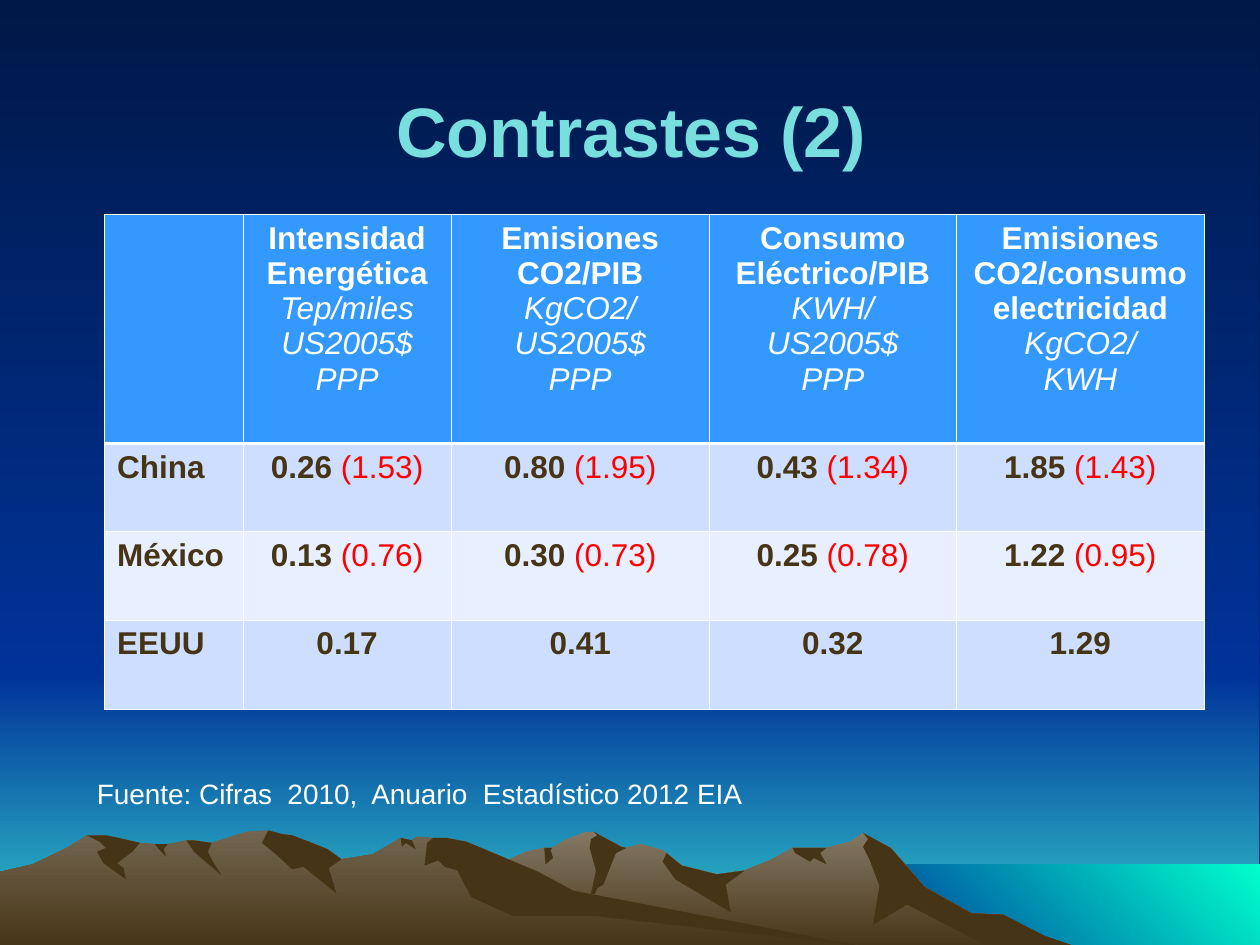
from dataclasses import dataclass

from lxml import etree
from pptx import Presentation
from pptx import util as u
from pptx.dml.color import RGBColor
from pptx.enum import shapes, text
from pptx.oxml.ns import qn

Inches = u.Inches

NIGHT = RGBColor(0x00, 0x18, 0x47)
BLUE = RGBColor(0x00, 0x33, 0x99)
HORIZON = RGBColor(0x33, 0xCC, 0xCC)
SEA = RGBColor(0x00, 0xFF, 0xCC)
BROWN = RGBColor(0x46, 0x34, 0x16)
FAR_ROCK = RGBColor(0x84, 0x78, 0x64)
NEAR_ROCK = RGBColor(0x73, 0x65, 0x4F)
AQUA = RGBColor(0x78, 0xDE, 0xDE)
WHITE = RGBColor(0xFF, 0xFF, 0xFF)
RED = RGBColor(0xFF, 0x00, 0x00)
HEADER = RGBColor(0x33, 0x99, 0xFF)
BAND_DARK = RGBColor(0xCD, 0xDE, 0xFF)
BAND_LIGHT = RGBColor(0xE8, 0xEF, 0xFF)

DOWN, UP_RIGHT = 270, 45
THIN, THICK = 0.45, 1.47
GROUND = 7.53
LEFT, CENTER = text.PP_ALIGN.LEFT, text.PP_ALIGN.CENTER


@dataclass
class Shadow:
    start: float
    end: float
    lower_edge: list


@dataclass
class MountainRange:
    rock: RGBColor
    ridge: list
    shadows: list

    def silhouette(self):
        return [(self.ridge[0][0], GROUND), *self.ridge, (self.ridge[-1][0], GROUND)]

    def shadow_outline(self, shadow):
        upper_edge = [point for point in self.ridge if shadow.start <= point[0] <= shadow.end]
        return upper_edge + shadow.lower_edge


FAR_RANGE = MountainRange(
    rock=FAR_ROCK,
    ridge=[(2.58, 7.53), (2.77, 7.4), (3.27, 7.11), (3.55, 6.99), (3.94, 6.87), (4.18, 6.76),
           (4.32, 6.73), (4.38, 6.73), (4.5, 6.66), (4.65, 6.6), (4.71, 6.6), (4.93, 6.72),
           (4.97, 6.73), (5.09, 6.7), (5.26, 6.75), (5.29, 6.77), (5.41, 6.87), (5.69, 6.94),
           (5.91, 6.91), (6.13, 6.82), (6.29, 6.73), (6.56, 6.73), (6.75, 6.68), (6.85, 6.61),
           (7.07, 6.73), (7.34, 7.04), (7.71, 7.25), (7.96, 7.26), (8.29, 7.43), (8.58, 7.53)],
    shadows=[
        Shadow(4.32, 4.38, [(4.37, 6.75), (4.39, 6.81), (4.33, 6.86)]),
        Shadow(4.71, 4.97, [(4.89, 6.77), (4.86, 6.84), (4.79, 7.02), (4.74, 7.05), (4.65, 7.28),
                            (4.73, 6.91), (4.68, 6.73), (4.69, 6.66), (4.74, 6.63)]),
        Shadow(5.29, 5.91, [(5.76, 7.02), (5.8, 7.24), (5.36, 6.98), (5.26, 6.84)]),
        Shadow(6.29, 6.56, [(6.51, 6.77), (6.56, 6.86), (6.46, 6.81), (6.43, 6.84), (6.31, 6.77)]),
        Shadow(6.85, 8.58, [(7.88, 7.53), (7.2, 7.18), (6.93, 7.34), (6.98, 7.03), (6.9, 6.82),
                            (6.85, 6.72), (6.89, 6.66)])])

NEAR_RANGE = MountainRange(
    rock=NEAR_ROCK,
    ridge=[(0, 6.92), (0.26, 6.86), (0.53, 6.73), (0.69, 6.63), (0.84, 6.63), (0.94, 6.65),
           (1.11, 6.69), (1.23, 6.7), (1.33, 6.7), (1.48, 6.67), (1.54, 6.67), (1.68, 6.69),
           (1.96, 6.6), (2.13, 6.59), (2.24, 6.62), (2.32, 6.63), (2.45, 6.68), (2.6, 6.74),
           (2.71, 6.82), (2.96, 6.78), (3.18, 6.65), (3.27, 6.67), (3.31, 6.64), (3.44, 6.65),
           (3.54, 6.65), (3.7, 6.68), (4.01, 6.81), (4.27, 6.92), (4.55, 7.07), (6.9, 7.52)],
    shadows=[
        Shadow(0.69, 1.11, [(1.05, 6.76), (0.93, 6.85), (0.98, 6.89), (1, 6.98), (0.82, 6.85),
                            (0.77, 6.76), (0.84, 6.73), (0.79, 6.68)]),
        Shadow(1.23, 1.33, [(1.3, 6.74), (1.32, 6.8), (1.26, 6.74)]),
        Shadow(1.48, 1.68, [(1.65, 6.76), (1.69, 6.84), (1.76, 6.95), (1.54, 6.76)]),
        Shadow(2.13, 2.71, [(2.61, 6.89), (2.67, 7.09), (2.41, 6.88), (2.32, 6.9), (2.19, 6.78),
                            (2.08, 6.69)]),
        Shadow(3.18, 3.27, [(3.3, 6.74), (3.22, 6.69), (3.19, 6.72)]),
        Shadow(3.44, 6.9, [(4.72, 7.27), (4.07, 7.27), (3.74, 7.12), (3.63, 6.91), (3.53, 6.88),
                           (3.48, 6.83), (3.37, 6.87), (3.39, 6.69)])])

COLUMN_WIDTHS = [1.1, 1.65, 2.05, 1.96, 1.97]
ROW_HEIGHTS = [1.82, 0.7, 0.7, 0.71]
PER_DOLLAR = ["US2005$", "PPP"]
INDICATORS = [
    (["Intensidad", "Energética"], ["Tep/miles", *PER_DOLLAR]),
    (["Emisiones CO2/PIB"], ["KgCO2/", *PER_DOLLAR]),
    (["Consumo", "Eléctrico/PIB"], ["KWH/", *PER_DOLLAR]),
    (["Emisiones CO2/consumo", "electricidad"], ["KgCO2/", "KWH"])]
REFERENCE = "EEUU"
COUNTRY_VALUES = {
    "China": [0.26, 0.80, 0.43, 1.85],
    "México": [0.13, 0.30, 0.25, 1.22],
    REFERENCE: [0.17, 0.41, 0.32, 1.29]}


def paint(fill, colors, angle=DOWN):
    if len(colors) == 1:
        fill.solid()
        fill.fore_color.rgb = colors[0]
        return
    fill.gradient()
    fill.gradient_angle = angle
    for stop, color in zip(fill.gradient_stops, colors):
        stop.color.rgb = color


def finish(shape, colors, angle=DOWN):
    paint(shape.fill, colors, angle)
    shape.line.fill.background()
    shape.shadow.inherit = False


def add_band(slide, left, top, width, height, colors, angle=DOWN):
    box = [Inches(value) for value in (left, top, width, height)]
    finish(slide.shapes.add_shape(shapes.MSO_SHAPE.RECTANGLE, *box), colors, angle)


def add_outline(slide, points, colors):
    first, *others = [(Inches(x), Inches(y)) for x, y in points]
    builder = slide.shapes.build_freeform(*first)
    builder.add_line_segments(others, close=True)
    finish(builder.convert_to_shape(), colors)


def add_mountains(slide, mountains):
    add_outline(slide, mountains.silhouette(), [mountains.rock, BROWN])
    for shadow in mountains.shadows:
        add_outline(slide, mountains.shadow_outline(shadow), [BROWN])


def add_landscape(slide):
    paint(slide.background.fill, [NIGHT, BLUE])
    add_band(slide, -0.01, 5.36, 10, 2.17, [BLUE, HORIZON])
    add_band(slide, -0.01, 0.02, 10, 5.34, [NIGHT, BLUE])
    add_band(slide, 6.83, 6.86, 3.17, 0.67, [BLUE, SEA], UP_RIGHT)
    for mountains in (FAR_RANGE, NEAR_RANGE):
        add_mountains(slide, mountains)


def write(paragraph, content, size=18, color=WHITE, bold=False, italic=False, align=CENTER):
    paragraph.alignment = align
    run = paragraph.add_run()
    run.text = content
    font = run.font
    font.name, font.size, font.bold, font.italic = "Arial", u.Pt(size), bold, italic
    font.color.rgb = color


def add_label(slide, left, top, width, height, content, anchor=text.MSO_ANCHOR.TOP, **style):
    box = slide.shapes.add_textbox(*[Inches(value) for value in (left, top, width, height)])
    frame = box.text_frame
    frame.word_wrap = True
    frame.vertical_anchor = anchor
    write(frame.paragraphs[0], content, **style)


def set_borders(cell, **widths):
    properties = cell._tc.get_or_add_tcPr()
    for index, side in enumerate("LRTB"):
        line = etree.Element(qn(f"a:ln{side}"), w=str(u.Pt(widths.get(side, THIN))))
        fill = etree.SubElement(line, qn("a:solidFill"))
        etree.SubElement(fill, qn("a:srgbClr"), val=str(WHITE))
        properties.insert(index, line)


def style_row(row, color, **borders):
    for cell in row.cells:
        paint(cell.fill, [color])
        set_borders(cell, **borders)


def fill_heading(cell, names, units):
    frame = cell.text_frame
    for index, content in enumerate(names + units):
        paragraph = frame.add_paragraph() if index else frame.paragraphs[0]
        is_name = index < len(names)
        write(paragraph, content, bold=is_name, italic=not is_name)


def fill_country(cells, country, values):
    name_cell, *value_cells = cells
    write(name_cell.text_frame.paragraphs[0], country, color=BROWN, bold=True, align=LEFT)
    for cell, value, reference in zip(value_cells, values, COUNTRY_VALUES[REFERENCE]):
        paragraph = cell.text_frame.paragraphs[0]
        if country == REFERENCE:
            write(paragraph, f"{value:.2f}", color=BROWN, bold=True)
        else:
            write(paragraph, f"{value:.2f} ", color=BROWN, bold=True)
            write(paragraph, f"({value / reference:.2f})", color=RED)


def add_indicator_table(slide):
    size = Inches(sum(COLUMN_WIDTHS)), Inches(sum(ROW_HEIGHTS))
    table = slide.shapes.add_table(len(ROW_HEIGHTS), len(COLUMN_WIDTHS),
                                   Inches(0.83), Inches(1.7), *size).table
    table.first_row = table.horz_banding = False
    for column, width in zip(table.columns, COLUMN_WIDTHS):
        column.width = Inches(width)
    for row, height in zip(table.rows, ROW_HEIGHTS):
        row.height = Inches(height)
    header, *country_rows = table.rows
    style_row(header, HEADER, B=THICK)
    for column, (names, units) in enumerate(INDICATORS, 1):
        fill_heading(header.cells[column], names, units)
    for index, (row, (country, values)) in enumerate(zip(country_rows, COUNTRY_VALUES.items())):
        style_row(row, BAND_LIGHT if index % 2 else BAND_DARK, T=THIN if index else THICK)
        fill_country(row.cells, country, values)


def main():
    presentation = Presentation()
    presentation.slide_width, presentation.slide_height = Inches(10), Inches(7.5)
    slide = presentation.slides.add_slide(presentation.slide_layouts[6])
    add_landscape(slide)
    add_label(slide, 0.51, 0.44, 9, 1.18, "Contrastes (2)",
              anchor=text.MSO_ANCHOR.MIDDLE, size=40, color=AQUA, bold=True)
    add_label(slide, 0.67, 6.11, 9.14, 0.39,
              "Fuente: Cifras  2010,  Anuario  Estadístico 2012 EIA", size=16, align=LEFT)
    add_indicator_table(slide)
    presentation.save("out.pptx")


if __name__ == "__main__":
    main()
